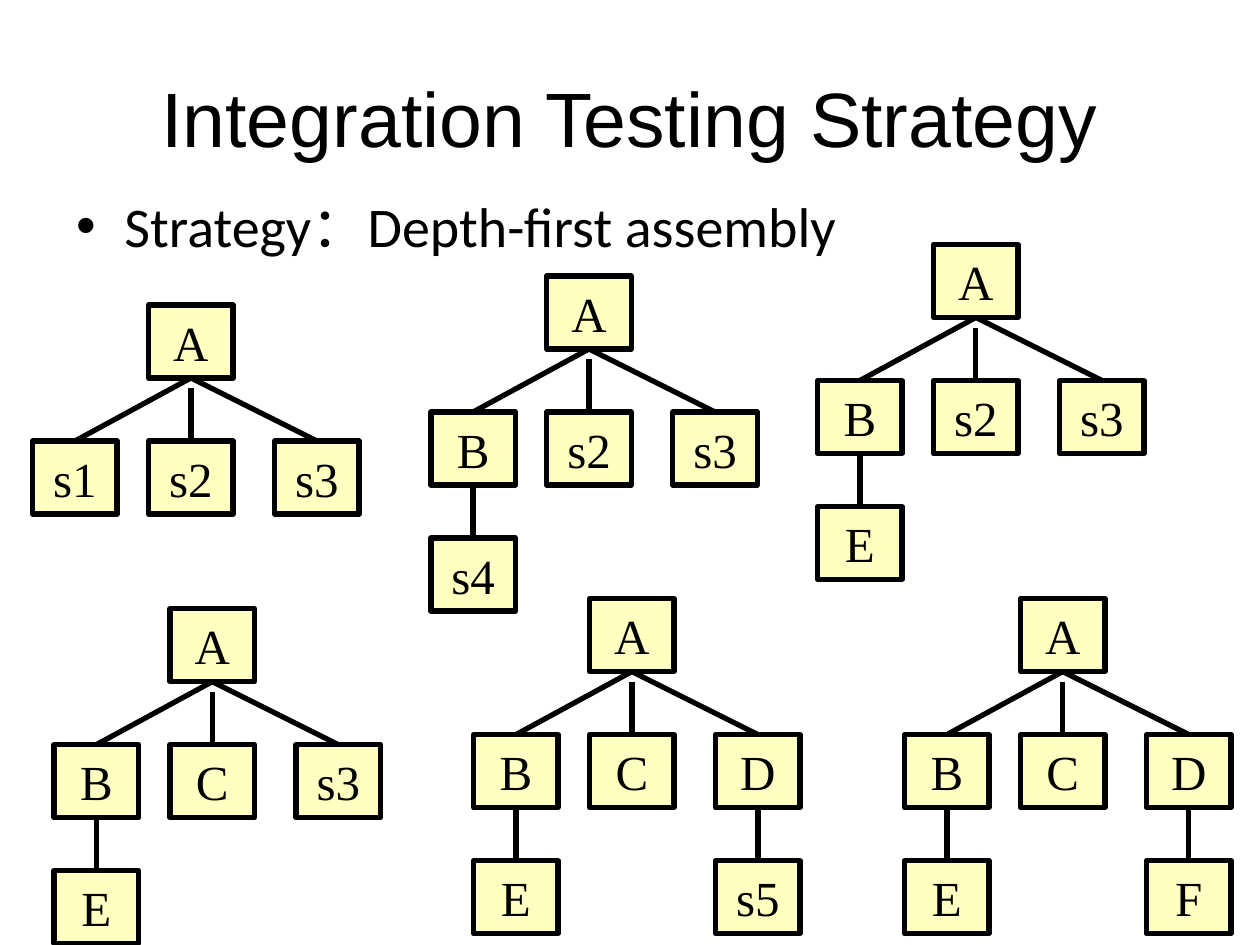
"""Build the slide on depth-first integration testing."""
from dataclasses import dataclass

from lxml import etree
from pptx import Presentation, util as u
from pptx.dml.color import RGBColor
from pptx.enum import shapes, text
from pptx.oxml.ns import qn

COLORS = {"ink": "000000", "box": "FFFF99"}
BOX_W, BOX_H = 0.67, 0.58
OFFSETS = (-0.92, 0, 1)
LEVEL_1, LEVEL_2 = 1.08, 2.08
STUB_GAP = 0.08


@dataclass(frozen=True)
class Tree:
    """Call tree placed by its root box, with leaves below some children."""
    left: float
    top: float
    children: tuple[str, str, str]
    leaves: tuple[str, str, str] = ("", "", "")


TREES = (
    Tree(1.18, 2.42, ("s1", "s2", "s3")),
    Tree(4.34, 2.19, ("B", "s2", "s3"), ("s4", "", "")),
    Tree(7.41, 1.94, ("B", "s2", "s3"), ("E", "", "")),
    Tree(1.35, 4.83, ("B", "C", "s3"), ("E", "", "")),
    Tree(4.68, 4.75, ("B", "C", "D"), ("E", "", "s5")),
    Tree(8.1, 4.75, ("B", "C", "D"), ("E", "", "F")),
)


def color(name: str) -> RGBColor:
    """Return a named colour."""
    return RGBColor.from_string(COLORS[name])


def write(sp, content: str, *, size: int, font: str, wrap: bool = True,
          align=text.PP_ALIGN.CENTER, anchor=text.MSO_ANCHOR.MIDDLE,
          bullet: str = "", indent: float = 0) -> None:
    """Put one formatted paragraph in a shape."""
    tf = sp.text_frame
    tf.word_wrap = wrap
    tf.vertical_anchor = anchor
    p = tf.paragraphs[0]
    p.alignment = align
    if bullet:
        pPr = p._p.get_or_add_pPr()
        pPr.set("marL", str(u.Inches(indent)))
        pPr.set("indent", str(-u.Inches(indent)))
        etree.SubElement(pPr, qn("a:buFont"), typeface="Arial")
        etree.SubElement(pPr, qn("a:buChar"), char=bullet)
    r = p.add_run()
    r.text = content
    r.font.size = u.Pt(size)
    r.font.name = font
    r.font.color.rgb = color("ink")


def add_box(group, left: float, top: float, label: str) -> None:
    """Draw one module box."""
    sp = group.shapes.add_shape(shapes.MSO_SHAPE.RECTANGLE, u.Inches(left), u.Inches(top),
                                u.Inches(BOX_W), u.Inches(BOX_H))
    sp.shadow.inherit = False
    sp.fill.solid()
    sp.fill.fore_color.rgb = color("box")
    fill = sp._element.spPr.find(qn("a:solidFill"))
    etree.SubElement(fill[0], qn("a:alpha"), val="60000")
    sp.line.color.rgb = color("ink")
    sp.line.width = u.Pt(3)
    write(sp, label, size=28, font="Times New Roman", wrap=False)


def add_line(group, x1: float, y1: float, x2: float, y2: float) -> None:
    """Draw one call line."""
    s = group.shapes.add_connector(shapes.MSO_CONNECTOR.STRAIGHT, u.Inches(x1), u.Inches(y1),
                                   u.Inches(x2), u.Inches(y2))
    s.line.color.rgb = color("ink")
    s.line.width = u.Pt(3)
    etree.SubElement(s._element.spPr, qn("a:effectLst"))


def add_tree(slide, tree: Tree) -> None:
    """Draw one call tree as a group."""
    group = slide.shapes.add_group_shape()
    root_x = tree.left + BOX_W / 2
    child_top, leaf_top = tree.top + LEVEL_1, tree.top + LEVEL_2
    add_box(group, tree.left, tree.top, "A")
    for offset, child, leaf in zip(OFFSETS, tree.children, tree.leaves):
        left, x = tree.left + offset, root_x + offset
        gap = 0 if offset else STUB_GAP
        add_box(group, left, child_top, child)
        add_line(group, root_x, tree.top + BOX_H + gap, x, child_top)
        if leaf:
            add_box(group, left, leaf_top, leaf)
            add_line(group, x, child_top + BOX_H, x, leaf_top)


def main() -> None:
    """Build and save the slide."""
    prs = Presentation()
    prs.slide_width, prs.slide_height = u.Inches(10), u.Inches(7.5)
    slide = prs.slides.add_slide(prs.slide_layouts[6])
    title = slide.shapes.add_textbox(u.Inches(0.5), u.Inches(0.3), u.Inches(9), u.Inches(1.25))
    write(title, "Integration Testing Strategy", size=44, font="Arial")
    body = slide.shapes.add_textbox(u.Inches(0.51), u.Inches(1.47), u.Inches(9), u.Inches(4.95))
    write(body, "Strategy：Depth-first assembly", size=32, font="Calibri",
          align=text.PP_ALIGN.LEFT, anchor=text.MSO_ANCHOR.TOP, bullet="•", indent=0.38)
    for tree in TREES:
        add_tree(slide, tree)
    prs.save("out.pptx")


if __name__ == "__main__":
    main()
